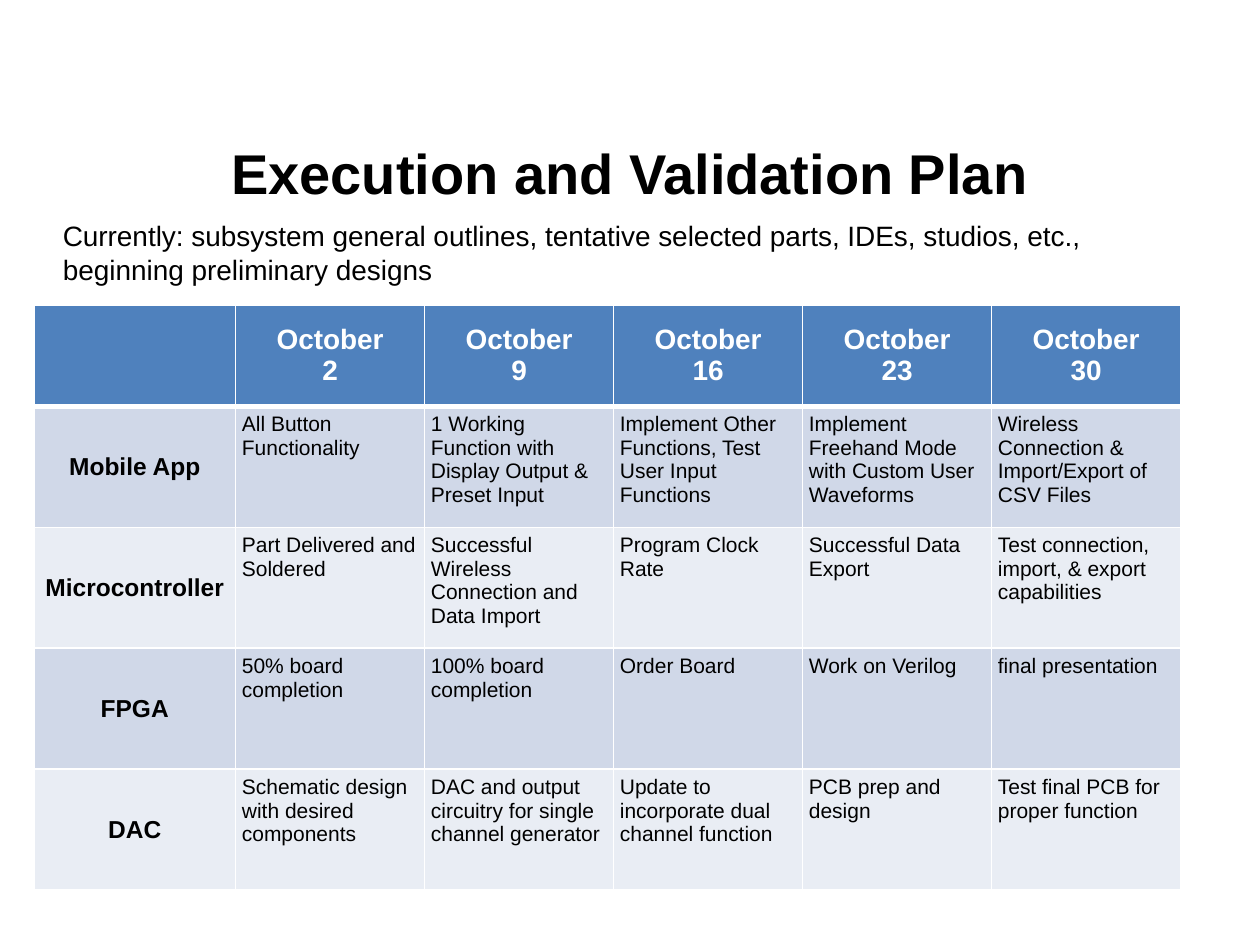
from lxml import etree
from pptx import Presentation
from pptx.dml.color import RGBColor
from pptx.enum.text import MSO_ANCHOR, PP_ALIGN
from pptx.oxml.ns import qn
from pptx.util import Inches, Pt

MID, TOP = MSO_ANCHOR.MIDDLE, MSO_ANCHOR.TOP
LEFT, CENTER = PP_ALIGN.LEFT, PP_ALIGN.CENTER
HUES = {"ink": "000000", "white": "FFFFFF", "head": "4F81BD",
        "odd": "D0D8E8", "even": "E9EDF4"}
WIDE, HIGH = Inches(10), Inches(7.5)
COL, ROW = WIDE * 0.15, HIGH * 0.128
PLAN = [
    ["", "October\n2", "October\n9", "October\n16", "October\n23", "October\n30"],
    ["Mobile App", "All Button Functionality",
     "1 Working Function with Display Output & Preset Input",
     "Implement Other Functions, Test User Input Functions",
     "Implement Freehand Mode with Custom User Waveforms",
     "Wireless Connection & Import/Export of CSV Files"],
    ["Microcontroller", "Part Delivered and Soldered",
     "Successful Wireless Connection and Data Import",
     "Program Clock Rate", "Successful Data Export",
     "Test connection, import, & export capabilities"],
    ["FPGA", "50% board completion", "100% board completion",
     "Order Board", "Work on Verilog", "final presentation"],
    ["DAC", "Schematic design with desired components",
     "DAC and output circuitry for single channel generator",
     "Update to incorporate dual channel function",
     "PCB prep and design", "Test final PCB for proper function"],
]


def write(frame, text, size=12, bold=False, hue="ink", align=LEFT):
    frame.word_wrap = True
    for i, line in enumerate(text.split("\n")):
        para = frame.paragraphs[0] if i == 0 else frame.add_paragraph()
        para.alignment = align
        run = para.add_run()
        run.text = line
        font = run.font
        font.name, font.size, font.bold = "Arial", Pt(size), bold
        font.color.rgb = RGBColor.from_string(HUES[hue])


def edge(cell, low):
    props = cell._tc.get_or_add_tcPr()
    for i, side in enumerate(("lnL", "lnR", "lnT", "lnB")):
        width = low if side == "lnB" else 1
        line = etree.Element(qn("a:" + side), w=str(Pt(width)))
        fill = etree.SubElement(line, qn("a:solidFill"))
        etree.SubElement(fill, qn("a:srgbClr"), val=HUES["white"])
        props.insert(i, line)


deck = Presentation()
deck.slide_width, deck.slide_height = WIDE, HIGH
slide = deck.slides.add_slide(deck.slide_layouts[6])

title = slide.shapes.add_textbox(int(WIDE * 0.05), int(HIGH * 0.124),
                                 int(WIDE * 0.9), int(HIGH * 0.117))
title.text_frame.vertical_anchor = MID
write(title.text_frame, "Execution and Validation Plan",
      size=32, bold=True, align=CENTER)

heights = [HIGH * 0.107] + [ROW] * 4
widths = [WIDE * 0.16] + [COL] * 5
grid = slide.shapes.add_table(len(heights), len(widths), int(WIDE * 0.027),
                              int(HIGH * 0.323), int(sum(widths)),
                              int(sum(heights))).table
for col, width in zip(grid.columns, widths):
    col.width = int(width)
for row, height in zip(grid.rows, heights):
    row.height = int(height)

for r, line in enumerate(PLAN):
    tint = "head" if r == 0 else "odd" if r % 2 else "even"
    for c, text in enumerate(line):
        cell = grid.cell(r, c)
        label = r == 0 or c == 0
        cell.fill.solid()
        cell.fill.fore_color.rgb = RGBColor.from_string(HUES[tint])
        cell.margin_left = cell.margin_right = Inches(0.05)
        cell.margin_top = cell.margin_bottom = Inches(0.05)
        cell.vertical_anchor = MID if label else TOP
        edge(cell, 3 if r == 0 else 1)
        if text:
            write(cell.text_frame, text,
                  size=16 if r == 0 else 14 if c == 0 else 12, bold=label,
                  hue="white" if r == 0 else "ink",
                  align=CENTER if label else LEFT)

note = slide.shapes.add_textbox(int(WIDE * 0.04), int(HIGH * 0.225),
                                int(WIDE * 0.91), int(HIGH * 0.085))
write(note.text_frame, "Currently: subsystem general outlines, tentative "
      "selected parts, IDEs, studios, etc., beginning preliminary designs",
      size=16)

deck.save("out.pptx")
